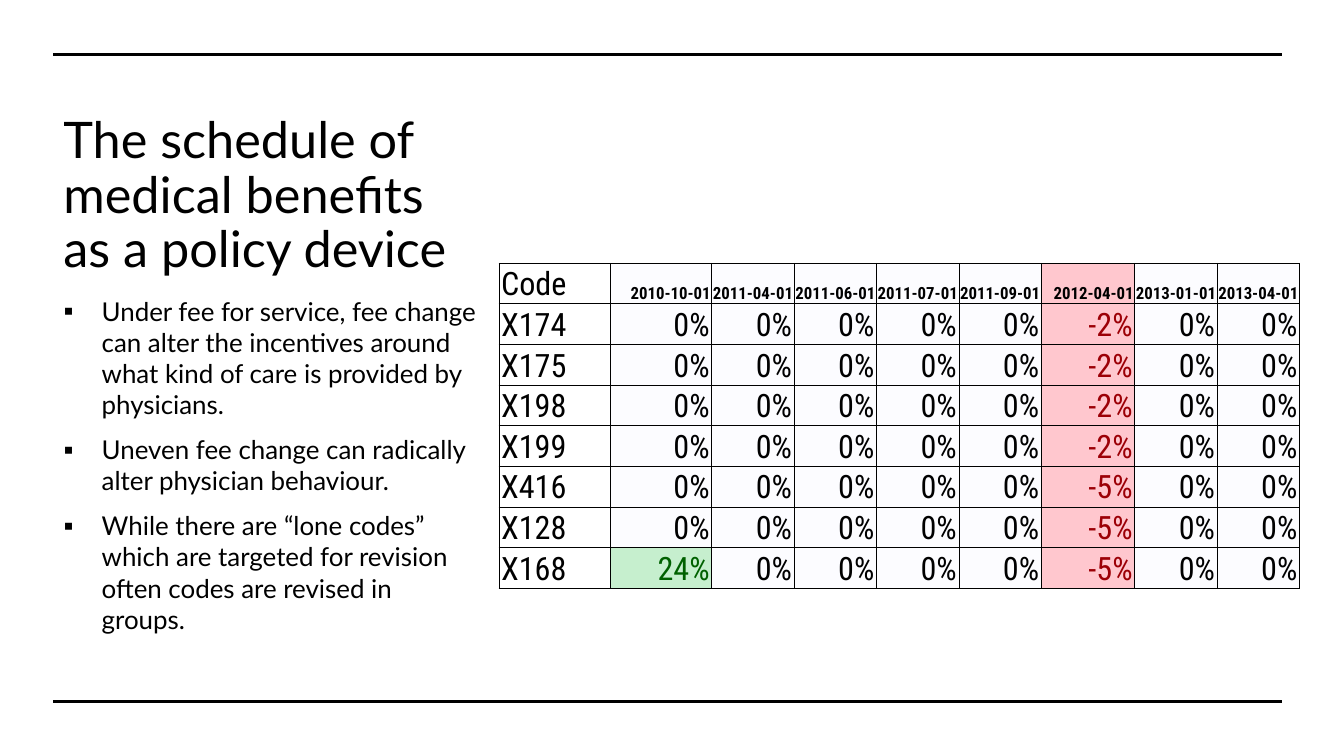
from dataclasses import dataclass

from lxml import etree
from pptx import Presentation
from pptx.dml.color import RGBColor
from pptx.enum.shapes import MSO_CONNECTOR
from pptx.enum.text import MSO_ANCHOR, PP_ALIGN
from pptx.oxml.ns import qn
from pptx.util import Emu, Inches, Pt

STRAIGHT = MSO_CONNECTOR.STRAIGHT
TOP, MIDDLE, BOTTOM = MSO_ANCHOR.TOP, MSO_ANCHOR.MIDDLE, MSO_ANCHOR.BOTTOM
LEFT, RIGHT = PP_ALIGN.LEFT, PP_ALIGN.RIGHT
SLIDE_WIDTH, SLIDE_HEIGHT = Inches(13.33), Inches(7.5)


@dataclass(frozen=True)
class Theme:
    text_font: str = "Lato"
    table_font: str = "Roboto Condensed"
    ink: str = "000000"
    neutral_fill: str = "FCFCFF"
    cut_fill: str = "FFC7CE"
    cut_ink: str = "9C0006"
    rise_fill: str = "C6EFCE"
    rise_ink: str = "006100"
    title_size: float = 36
    body_size: float = 18.5
    cell_size: float = 23
    date_size: float = 12
    rule_width: float = 2.25
    border_width: float = 0.5


@dataclass(frozen=True)
class Area:
    """Place on the slide, in percent of its width and height."""
    left: float
    top: float
    width: float
    height: float


@dataclass(frozen=True)
class TextStyle:
    font: str
    size: float
    color: str
    bold: bool = False


@dataclass(frozen=True)
class CellStyle:
    text: TextStyle
    fill: str | None
    align: PP_ALIGN = RIGHT
    inset: float = 0.02


@dataclass(frozen=True)
class FeeCode:
    code: str
    changes: dict[str, int]


THEME = Theme()
MARGIN, RULE_END, TEXT_WIDTH = 3.98, 95.42, 32.56
RULE_TOPS = (7.2, 92.8)
TITLE_AREA = Area(MARGIN, 9.73, TEXT_WIDTH, 32.67)
BODY_AREA = Area(MARGIN, 38.4, TEXT_WIDTH, 48.53)
CODE_WIDTH, FIRST_DATE_WIDTH, DATE_WIDTH, CUT_DATE_WIDTH = 8.25, 7.58, 6.13, 6.96
TABLE_LEFT, TABLE_TOP, ROW_HEIGHT = 37.13, 34.8, 5.07

TITLE = "The schedule of medical benefits as a policy device"
BULLETS = (
    "Under fee for service, fee change can alter the incentives around "
    "what kind of care is provided by physicians.",
    "Uneven fee change can radically alter physician behaviour.",
    "While there are “lone codes” which are targeted for revision "
    "often codes are revised in groups.",
)
RISE_DATE, CUT_DATE = "2010-10-01", "2012-04-01"
DATES = (RISE_DATE, "2011-04-01", "2011-06-01", "2011-07-01", "2011-09-01",
         CUT_DATE, "2013-01-01", "2013-04-01")
FEE_CODES = (
    *(FeeCode(code, {CUT_DATE: -2}) for code in ("X174", "X175", "X198", "X199")),
    *(FeeCode(code, {CUT_DATE: -5}) for code in ("X416", "X128")),
    FeeCode("X168", {RISE_DATE: 24, CUT_DATE: -5}),
)


def across(percent: float) -> Emu:
    return Emu(round(SLIDE_WIDTH * percent / 100))


def down(percent: float) -> Emu:
    return Emu(round(SLIDE_HEIGHT * percent / 100))


def add_run(paragraph, text: str, style: TextStyle) -> None:
    run = paragraph.add_run()
    run.text = text
    run.font.name = style.font
    run.font.size = Pt(style.size)
    run.font.bold = style.bold
    run.font.color.rgb = RGBColor.from_string(style.color)


def add_text_frame(slide, area: Area, anchor: MSO_ANCHOR):
    shape = slide.shapes.add_textbox(across(area.left), down(area.top),
                                     across(area.width), down(area.height))
    shape.text_frame.word_wrap = True
    shape.text_frame.vertical_anchor = anchor
    return shape.text_frame


def add_title(slide) -> None:
    paragraph = add_text_frame(slide, TITLE_AREA, MIDDLE).paragraphs[0]
    paragraph.line_spacing = 0.9
    add_run(paragraph, TITLE, TextStyle(THEME.text_font, THEME.title_size, THEME.ink))


def set_bullet(paragraph) -> None:
    indent = Inches(0.38)
    properties = paragraph._p.get_or_add_pPr()
    properties.set("marL", str(indent))
    properties.set("indent", str(-indent))
    etree.SubElement(properties, qn("a:buFont"), typeface=THEME.text_font)
    etree.SubElement(properties, qn("a:buChar"), char="▪")


def add_bullets(slide) -> None:
    frame = add_text_frame(slide, BODY_AREA, TOP)
    style = TextStyle(THEME.text_font, THEME.body_size, THEME.ink)
    for index, text in enumerate(BULLETS):
        paragraph = frame.add_paragraph() if index else frame.paragraphs[0]
        set_bullet(paragraph)
        paragraph.space_before = Pt(10 if index else 0)
        add_run(paragraph, text, style)


def add_rule(slide, top: float) -> None:
    rule = slide.shapes.add_connector(STRAIGHT, across(MARGIN), down(top),
                                      across(RULE_END), down(top))
    rule.line.color.rgb = RGBColor.from_string(THEME.ink)
    rule.line.width = Pt(THEME.rule_width)
    etree.SubElement(rule._element.spPr, qn("a:effectLst"))


def set_borders(cell) -> None:
    properties = cell._tc.get_or_add_tcPr()
    for side in ("lnL", "lnR", "lnT", "lnB"):
        line = etree.SubElement(properties, qn(f"a:{side}"),
                                w=str(Pt(THEME.border_width)))
        fill = etree.SubElement(line, qn("a:solidFill"))
        etree.SubElement(fill, qn("a:srgbClr"), val=THEME.ink)


def write_cell(cell, text: str, style: CellStyle) -> None:
    set_borders(cell)
    if style.fill is None:
        cell.fill.background()
    else:
        cell.fill.solid()
        cell.fill.fore_color.rgb = RGBColor.from_string(style.fill)
    cell.margin_left = cell.margin_right = cell.margin_top = Inches(style.inset)
    cell.margin_bottom = 0
    cell.vertical_anchor = BOTTOM
    paragraph = cell.text_frame.paragraphs[0]
    paragraph.alignment = style.align
    add_run(paragraph, text, style.text)


def change_style(change: int) -> CellStyle:
    fill, ink = THEME.neutral_fill, THEME.ink
    if change < 0:
        fill, ink = THEME.cut_fill, THEME.cut_ink
    elif change > 0:
        fill, ink = THEME.rise_fill, THEME.rise_ink
    return CellStyle(TextStyle(THEME.table_font, THEME.cell_size, ink), fill)


def add_fee_table(slide) -> None:
    special_widths = {RISE_DATE: FIRST_DATE_WIDTH, CUT_DATE: CUT_DATE_WIDTH}
    widths = [CODE_WIDTH, *(special_widths.get(date, DATE_WIDTH) for date in DATES)]
    row_count = len(FEE_CODES) + 1
    table = slide.shapes.add_table(
        row_count, len(widths), across(TABLE_LEFT), down(TABLE_TOP),
        across(sum(widths)), down(ROW_HEIGHT * row_count)).table
    table.first_row = table.horz_banding = False
    for column, width in zip(table.columns, widths):
        column.width = across(width)

    code_style = CellStyle(TextStyle(THEME.table_font, THEME.cell_size, THEME.ink),
                           None, LEFT)
    date_text = TextStyle(THEME.table_font, THEME.date_size, THEME.ink, bold=True)
    for row, code in enumerate(("Code", *(fee.code for fee in FEE_CODES))):
        write_cell(table.cell(row, 0), code, code_style)
    for column, date in enumerate(DATES, start=1):
        fill = THEME.cut_fill if date == CUT_DATE else THEME.neutral_fill
        write_cell(table.cell(0, column), date, CellStyle(date_text, fill, inset=0.01))
        for row, fee in enumerate(FEE_CODES, start=1):
            change = fee.changes.get(date, 0)
            write_cell(table.cell(row, column), f"{change}%", change_style(change))


def main() -> None:
    presentation = Presentation()
    presentation.slide_width, presentation.slide_height = SLIDE_WIDTH, SLIDE_HEIGHT
    slide = presentation.slides.add_slide(presentation.slide_layouts[6])
    add_title(slide)
    add_bullets(slide)
    for top in RULE_TOPS:
        add_rule(slide, top)
    add_fee_table(slide)
    presentation.save("out.pptx")


if __name__ == "__main__":
    main()
